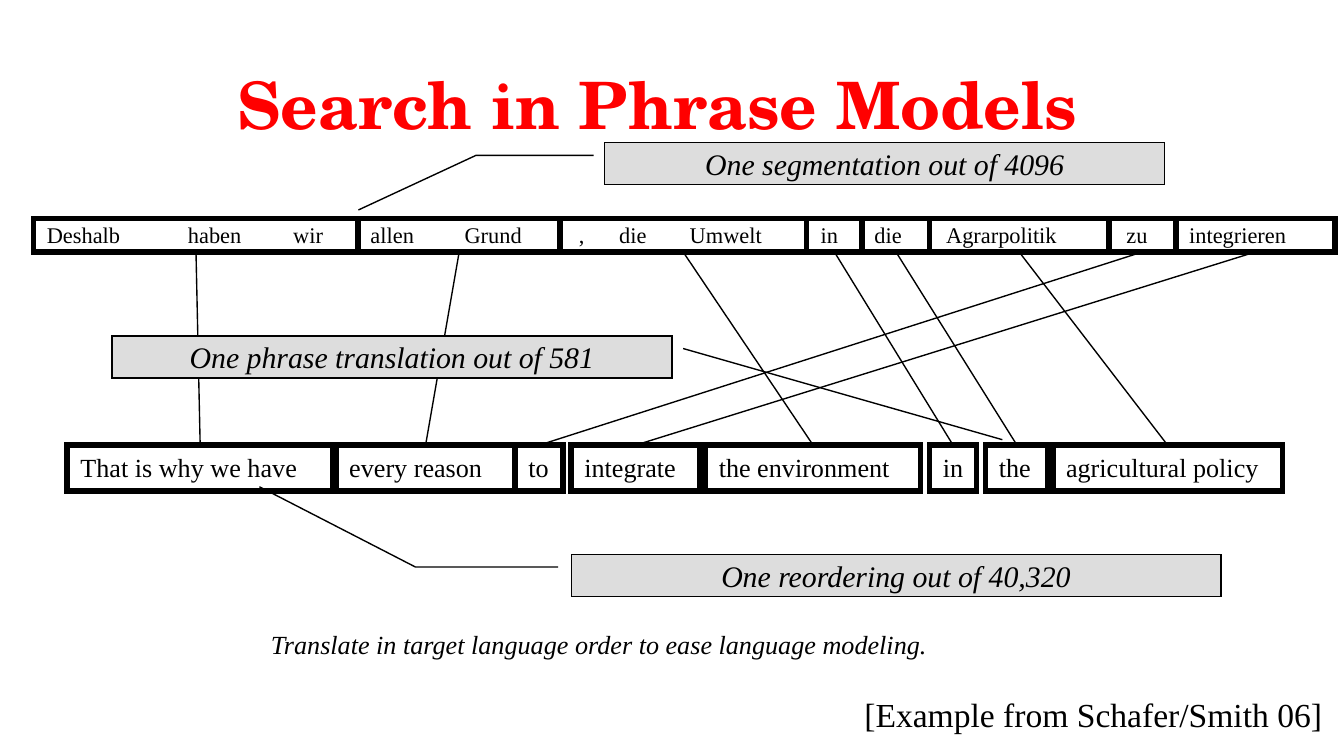
from dataclasses import dataclass

from lxml.etree import SubElement
from pptx import Presentation
from pptx.dml.color import RGBColor
from pptx.enum.shapes import MSO_CONNECTOR, MSO_SHAPE
from pptx.enum.text import MSO_ANCHOR, PP_ALIGN
from pptx.oxml.ns import qn
from pptx.util import Inches, Pt


@dataclass(frozen=True)
class Theme:
    ink = RGBColor(0x00, 0x00, 0x00)
    accent = RGBColor(0xFF, 0x00, 0x00)
    callout = RGBColor(0xDD, 0xDD, 0xDD)
    heading_font = "TeX Gyre Schola"
    body_font = "Times New Roman"
    heading, credit, comment, phrase, word = Pt(35), Pt(18), Pt(16), Pt(14), Pt(12)
    thick, thin = Pt(3), Pt(0.75)


theme = Theme()
UNIT = Inches(1) // 12  # the slide is 120 columns by 67.5 rows


def write(shape, text, size, italic=False, align=PP_ALIGN.LEFT, wrap=False):
    """Put one body-font run, anchored at the top, into the shape."""
    frame = shape.text_frame
    frame.word_wrap = wrap
    frame.vertical_anchor = MSO_ANCHOR.TOP
    paragraph = frame.paragraphs[0]
    paragraph.alignment = align
    run = paragraph.add_run()
    run.text = text
    run.font.name = theme.body_font
    run.font.size = size
    run.font.italic = italic
    run.font.color.rgb = theme.ink


def outlined(kind, left, top, width, height, weight, fill=None):
    """Add a black-edged, sharp-cornered shape, placed in columns and rows."""
    shape = slide.shapes.add_shape(
        kind, *(int(n * UNIT) for n in (left, top, width, height)))
    shape.shadow.inherit = False
    if fill is None:
        shape.fill.background()
    else:
        shape.fill.solid()
        shape.fill.fore_color.rgb = fill
    shape.line.color.rgb = theme.ink
    shape.line.width = weight
    SubElement(shape._element.spPr.find(qn("a:ln")), qn("a:miter"), lim="800000")
    return shape


deck = Presentation()
deck.slide_width, deck.slide_height = 120 * UNIT, int(67.5 * UNIT)
slide = deck.slides.add_slide(deck.slide_layouts[5])

# Title
title = slide.shapes.title
title.left, title.top, title.width, title.height = (
    int(n * UNIT) for n in (3.4, 5.2, 110.6, 9.2))
title.text_frame.vertical_anchor = MSO_ANCHOR.MIDDLE
title.text_frame.margin_bottom = Inches(0.15)
heading = title.text_frame.paragraphs[0]
heading.alignment = PP_ALIGN.CENTER
run = heading.add_run()
run.text = "Search in Phrase Models"
run.font.name = theme.heading_font
run.font.size = theme.heading
run.font.bold = True
run.font.color.rgb = theme.accent

# Free text: source words, remark and credit (left, top, width, height)
source_words = [
    ("Deshalb", 3, 9), ("haben", 15.6, 7.3), ("wir", 25, 5.2),
    ("allen", 31.9, 6.4), ("Grund", 40.3, 7.6), (",", 50.5, 2.9),
    ("die", 54.1, 4.9), ("Umwelt", 60.4, 9), ("in", 72.1, 4),
    ("die", 76.9, 4.9), ("Agrarpolitik", 83.3, 12.5), ("zu", 99.4, 4.3),
    ("integrieren", 105, 11.2),
]
loose_texts = [(word, left, 19.2, width, 3.6, theme.word, False)
               for word, left, width in source_words]
loose_texts += [
    ("Translate in target language order to ease language modeling.",
     23, 55.5, 67.1, 4.1, theme.phrase, True),
    ("[Example from Schafer/Smith 06]", 76, 61.4, 44, 4.7, theme.credit, False),
]
for text, left, top, width, height, size, italic in loose_texts:
    box = slide.shapes.add_textbox(
        *(int(n * UNIT) for n in (left, top, width, height)))
    write(box, text, size, italic)

# Source segments share their edges
SEGMENT_TOP, SEGMENT_HEIGHT = 19.5, 3
segment_edges = [3, 32, 50, 72, 77, 83, 99, 105, 119.2]
segments = list(zip(segment_edges, segment_edges[1:]))
for left, right in segments:
    outlined(MSO_SHAPE.RECTANGLE, left, SEGMENT_TOP, right - left,
             SEGMENT_HEIGHT, theme.thick)

# Target phrases, each linked to the middle of the segment it translates
PHRASE_TOP, PHRASE_HEIGHT = 39.75, 4.1
target_phrases = [  # text, left, width, segment index
    ("That is why we have", 6, 23.75, 0), ("every reason", 30, 16, 1),
    ("to", 46, 4.3, 6), ("integrate", 51, 11.5, 7),
    ("the environment", 63, 19.2, 2), ("in", 83, 4.2, 3),
    ("the", 88, 5.6, 4), ("agricultural policy", 94, 20.5, 5),
]
for text, left, width, segment in target_phrases:
    phrase = outlined(MSO_SHAPE.RECTANGLE, left, PHRASE_TOP, width,
                      PHRASE_HEIGHT, theme.thick)
    write(phrase, text, theme.phrase)
    ends = (left + width / 2, PHRASE_TOP,
            sum(segments[segment]) / 2, SEGMENT_TOP + SEGMENT_HEIGHT)
    link = slide.shapes.add_connector(
        MSO_CONNECTOR.STRAIGHT, *(int(n * UNIT) for n in ends))
    link.line.color.rgb = theme.ink
    link.line.width = theme.thin
    SubElement(link._element.spPr, qn("a:effectLst"))

# Callouts; leader points are (y, x) shares of the callout's own size
callouts = [
    ("One segmentation out of 4096", 54, 12.75, 50,
     (0.3, -0.02, 0.3, -0.23, 1.6, -0.44)),
    ("One reordering out of 40,320", 51, 49.5, 58,
     (0.3, -0.02, 0.3, -0.24, -1.61, -0.48)),
    ("One phrase translation out of 581", 10, 30, 50,
     (0.3, 1.02, 0.3, 1.02, 2.47, 1.59)),
]
for text, left, top, width, leader in callouts:
    callout = outlined(MSO_SHAPE.LINE_CALLOUT_2, left, top, width, 3.75,
                       theme.thin, theme.callout)
    for index, share in enumerate(leader):
        callout.adjustments[index] = share
    write(callout, text, theme.comment, True, PP_ALIGN.CENTER, wrap=True)
    callout.text_frame.vertical_anchor = MSO_ANCHOR.MIDDLE
    callout.text_frame.margin_top = callout.text_frame.margin_bottom = 0

deck.save("out.pptx")
